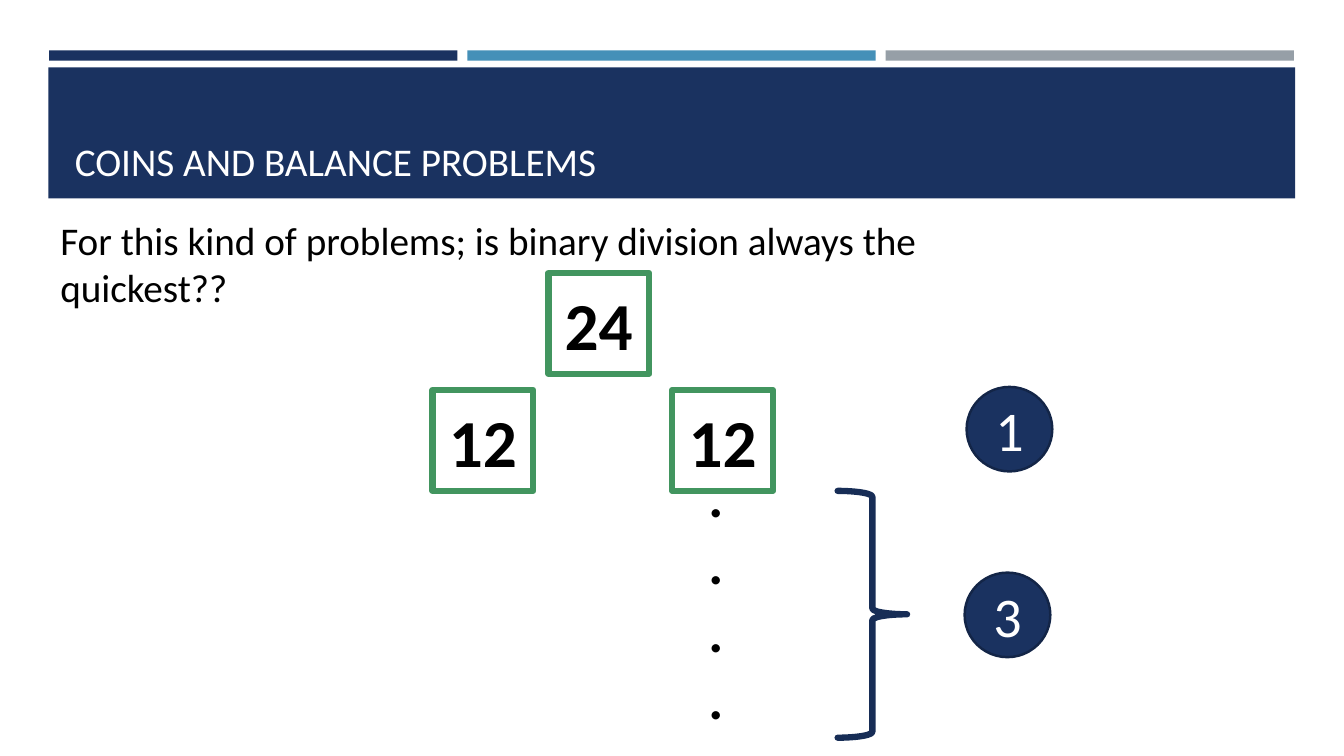
from typing import NamedTuple

from pptx import Presentation
from pptx.dml.color import RGBColor
from pptx.enum.shapes import MSO_SHAPE
from pptx.enum.text import MSO_ANCHOR, MSO_AUTO_SIZE, PP_ALIGN
from pptx.shapes.autoshape import Shape
from pptx.slide import Slide
from pptx.text.text import TextFrame
from pptx.util import Cm, Pt

RECTANGLE, OVAL, BRACE = MSO_SHAPE.RECTANGLE, MSO_SHAPE.OVAL, MSO_SHAPE.RIGHT_BRACE
MIDDLE, BOTTOM = MSO_ANCHOR.MIDDLE, MSO_ANCHOR.BOTTOM
LEFT, CENTER = PP_ALIGN.LEFT, PP_ALIGN.CENTER
NO_AUTOFIT = MSO_AUTO_SIZE.NONE
TITLE_ONLY_LAYOUT = 5

FONT = "Calibri"
COLORS = {
    "navy": "1A3260",
    "blue": "4590B8",
    "gray": "969FA7",
    "green": "42955F",
    "circle_edge": "132547",
    "brace": "172D56",
    "white": "FFFFFF",
    "black": "000000",
}


class Box(NamedTuple):
    """Left, top, width and height in centimetres."""
    left: float
    top: float
    width: float
    height: float


class Node(NamedTuple):
    label: str
    left: float
    top: float


HEADER = Box(1.22, 1.7, 31.42, 3.3)
TITLE = Box(1.63, 1.96, 30.63, 2.82)
QUESTION = Box(1.27, 5.33, 26.4, 1.45)
DOTS = Box(17.6, 11.51, 0.89, 7.09)
STEPS_BRACE = Box(21.11, 12.37, 1.75, 6.22)

BAR_COLORS = ["navy", "blue", "gray"]
BAR_PITCH = 10.54
COIN_SIDE = 2.54
COIN_GROUPS = [Node("24", 13.82, 6.88), Node("12", 16.94, 9.83), Node("12", 10.9, 9.83)]
WEIGHING_COUNTS = [Node("1", 24.36, 9.75), Node("3", 24.31, 14.43)]


def rgb(color: str) -> RGBColor:
    return RGBColor.from_string(COLORS[color])


def write(frame: TextFrame, text: str, size: int, color: str,
          bold: bool = False, align: PP_ALIGN = LEFT) -> None:
    frame.text = text
    for paragraph in frame.paragraphs:
        paragraph.alignment = align
        for run in paragraph.runs:
            run.font.name = FONT
            run.font.size = Pt(size)
            run.font.bold = bold
            run.font.color.rgb = rgb(color)


def add_figure(slide: Slide, preset: MSO_SHAPE, box: Box, fill: str = "",
               edge: str = "", edge_width: float = 0) -> Shape:
    """Add a flat preset shape; an empty colour means no fill or no line."""
    figure = slide.shapes.add_shape(preset, *map(Cm, box))
    figure.shadow.inherit = False
    if fill:
        figure.fill.solid()
        figure.fill.fore_color.rgb = rgb(fill)
    else:
        figure.fill.background()
    if edge:
        figure.line.color.rgb = rgb(edge)
        figure.line.width = Pt(edge_width)
    else:
        figure.line.fill.background()
    return figure


def add_header(slide: Slide) -> None:
    for column, color in enumerate(BAR_COLORS):
        add_figure(slide, RECTANGLE, Box(1.24 + column * BAR_PITCH, 1.27, 10.29, 0.26), color)
    add_figure(slide, RECTANGLE, HEADER, "navy")

    title = slide.shapes.title
    title.left, title.top, title.width, title.height = map(Cm, TITLE)
    title.text_frame.vertical_anchor = BOTTOM
    title.text_frame.auto_size = NO_AUTOFIT
    write(title.text_frame, "COINS AND BALANCE PROBLEMS", 28, "white")
    title.element.getparent().append(title.element)  # in front of the header band


def add_text(slide: Slide, box: Box, text: str, size: int, bold: bool = False) -> None:
    frame = slide.shapes.add_textbox(*map(Cm, box)).text_frame
    frame.word_wrap = True
    write(frame, text, size, "black", bold)


def add_coin_group(slide: Slide, group: Node) -> None:
    square = add_figure(slide, RECTANGLE, Box(group.left, group.top, COIN_SIDE, COIN_SIDE),
                        "white", "green", 4.5)
    square.text_frame.vertical_anchor = MIDDLE
    write(square.text_frame, group.label, 48, "black", True, CENTER)


def add_weighing_count(slide: Slide, count: Node) -> None:
    circle = add_figure(slide, OVAL, Box(count.left, count.top, 2.16, 2.13),
                        "navy", "circle_edge", 1.75)
    circle.text_frame.vertical_anchor = MIDDLE
    write(circle.text_frame, count.label, 40, "white", align=CENTER)


def main() -> None:
    presentation = Presentation()
    presentation.slide_width, presentation.slide_height = Cm(33.87), Cm(19.05)
    slide = presentation.slides.add_slide(presentation.slide_layouts[TITLE_ONLY_LAYOUT])

    add_header(slide)
    add_text(slide, QUESTION,
             "For this kind of problems; is binary division always the quickest??", 28)
    for group in COIN_GROUPS:
        add_coin_group(slide, group)
    add_text(slide, DOTS, "\n".join("...."), 40, True)
    brace = add_figure(slide, BRACE, STEPS_BRACE, edge="brace", edge_width=4.5)
    brace.element.spPr.get_or_add_ln().set("cap", "rnd")
    for count in WEIGHING_COUNTS:
        add_weighing_count(slide, count)

    presentation.save("out.pptx")


if __name__ == "__main__":
    main()
